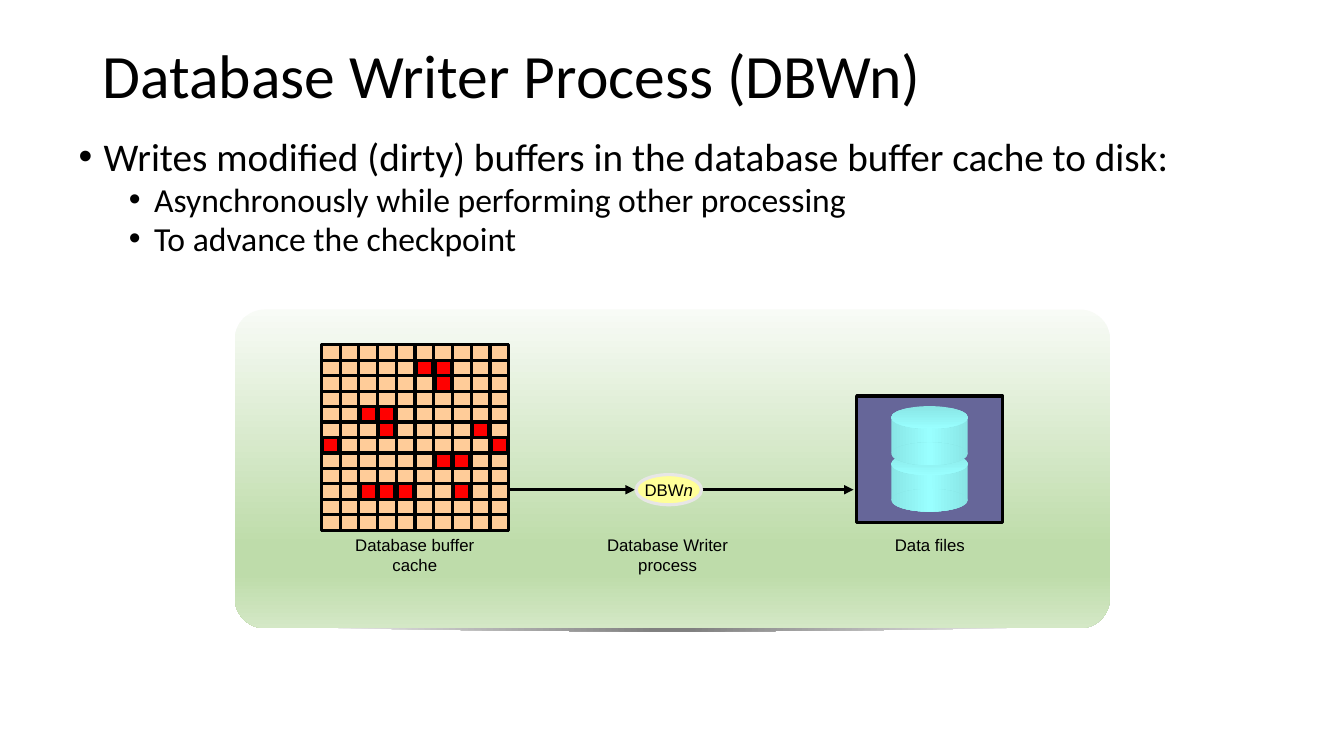
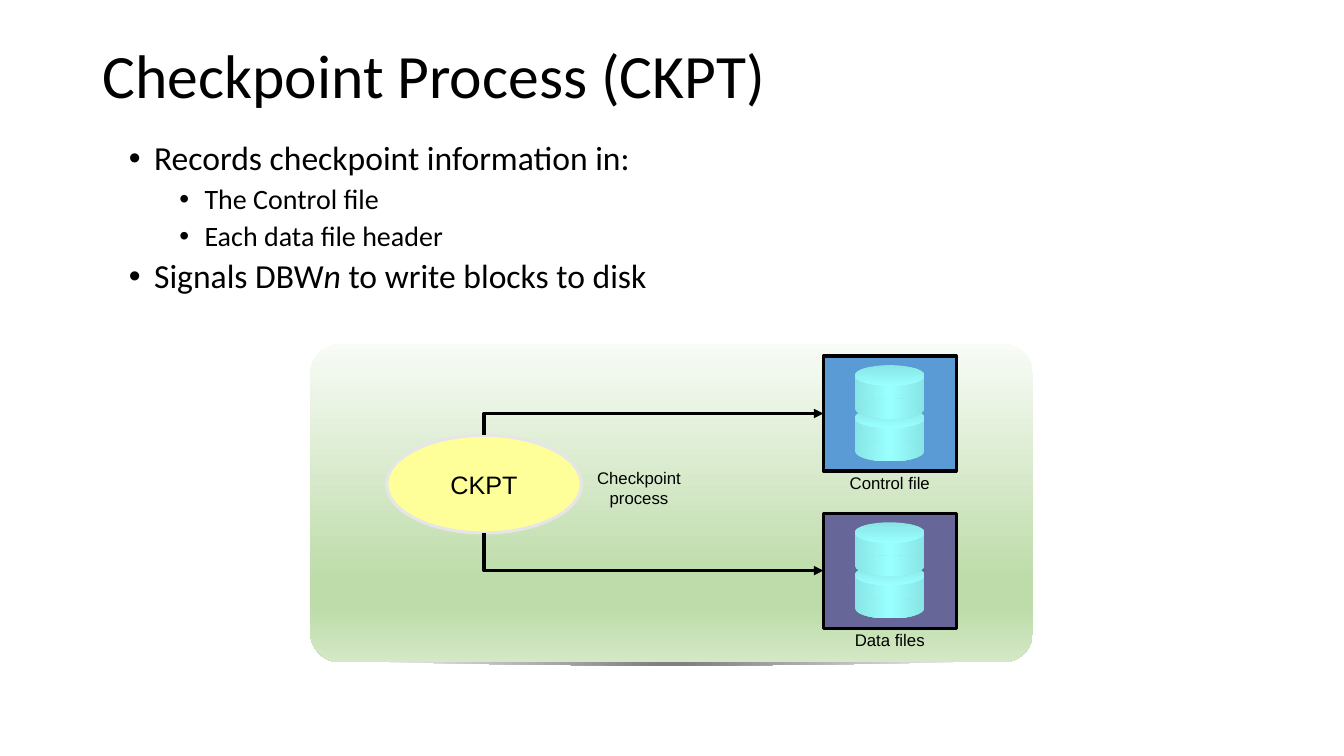
"""Build two slides on the database writer and checkpoint processes."""
from lxml.etree import SubElement
from pptx import Presentation
from pptx.dml.color import RGBColor
from pptx.enum.shapes import MSO_CONNECTOR as CONN, MSO_SHAPE as SHAPE
from pptx.enum.text import MSO_ANCHOR as ANCHOR, PP_ALIGN as ALIGN
from pptx.oxml.ns import qn
from pptx.util import Cm, Pt

COLORS = {
    "text": "000000", "line": "000000", "process": "FFFF99", "rim": "E7E6E6",
    "buffer": "FFCC99", "dirty": "FF0000", "data": "666699", "control": "5B9BD5",
}
PANEL_STOPS = [(0, "F8FBF6"), (74, "BEDCAA"), (83, "BEDCAA"), (100, "D4E8C6")]
SHADOW_STOPS = [(4, "808080"), (100, "FFFFFF")]
SIDE_STOPS = [(0, "89E5E5"), (50, "99FFFF"), (100, "89E5E5")]
LID_STOPS = [(0, "89E5E5"), (100, "99FFFF")]
DIRTY_CELLS = [
    (5, 1), (6, 1), (6, 2), (2, 4), (3, 4), (3, 5), (8, 5), (0, 6),
    (9, 6), (6, 7), (7, 7), (2, 9), (3, 9), (4, 9), (7, 9),
]
ELLIPSE_TOP, ELLIPSE_BOTTOM = 0, 4


def rgb(name):
    return RGBColor.from_string(COLORS[name])


def add_runs(p, runs, size, font):
    for text, italic in runs:
        r = p.add_run()
        r.text = text
        r.font.size = Pt(size)
        r.font.name = font
        r.font.italic = italic
        r.font.color.rgb = rgb("text")


def plain(text):
    return [(text, None)]


def set_gradient(sp, stops, angle=None):
    sp.shadow.inherit = False
    sp.line.fill.background()
    sp.fill.background()
    no_fill = sp._element.spPr.find(qn("a:noFill"))
    grad = SubElement(sp._element.spPr, qn("a:gradFill"), rotWithShape="1")
    no_fill.getparent().replace(no_fill, grad)
    gs_list = SubElement(grad, qn("a:gsLst"))
    for pos, color in stops:
        gs = SubElement(gs_list, qn("a:gs"), pos=str(pos * 1000))
        SubElement(gs, qn("a:srgbClr"), val=color)
    if angle is None:
        path = SubElement(grad, qn("a:path"), path="circle")
        SubElement(path, qn("a:fillToRect"), l="50000", t="50000", r="50000", b="50000")
    else:
        SubElement(grad, qn("a:lin"), ang=str(angle * 60000), scaled="0")


def add_box(s, kind, x, y, w, h):
    return s.shapes.add_shape(kind, Cm(x), Cm(y), Cm(w), Cm(h))


def add_solid(s, kind, x, y, w, h, fill, line="line"):
    sp = add_box(s, kind, x, y, w, h)
    sp.shadow.inherit = False
    sp.fill.solid()
    sp.fill.fore_color.rgb = rgb(fill)
    sp.line.color.rgb = rgb(line)
    sp.line.width = Pt(2.25)
    return sp


def add_textbox(s, x, y, w, h):
    tf = s.shapes.add_textbox(Cm(x), Cm(y), Cm(w), Cm(h)).text_frame
    tf.word_wrap = True
    return tf


def add_title(s, text):
    p = add_textbox(s, 2.34, 1.02, 29.21, 3.68).paragraphs[0]
    p.line_spacing = 0.9
    add_runs(p, plain(text), 44, "Calibri")


def add_bullets(s, height, spacing, items):
    tf = add_textbox(s, 1.73, 3.45, 30.4, height)
    for i, (level, runs) in enumerate(items):
        p = tf.paragraphs[0] if i == 0 else tf.add_paragraph()
        p.level = level
        p.line_spacing = spacing
        p.space_before = Pt(5 if level else 10)
        pPr = p._p.get_or_add_pPr()
        pPr.set("marL", str(Cm(0.635 + 1.27 * level)))
        pPr.set("indent", str(-Cm(0.635)))
        SubElement(pPr, qn("a:buFont"), typeface="Arial")
        SubElement(pPr, qn("a:buChar"), char="•")
        add_runs(p, runs, 28 - 4 * level, "Calibri")


def add_label(s, x, y, w, h, text):
    p = add_textbox(s, x, y, w, h).paragraphs[0]
    p.alignment = ALIGN.CENTER
    add_runs(p, plain(text), 12, "Arial")


def add_panel(s, x, y, w, h):
    left, top, width, steps = x + 0.0235 * w, y + h - 0.05, 0.953 * w, 24
    arc = [(left + width * i / steps, top + 0.52 * i / steps * (1 - i / steps))
           for i in range(steps + 1)]
    points = [(Cm(px), Cm(py)) for px, py in arc]
    builder = s.shapes.build_freeform(*points[0])
    builder.add_line_segments(points[1:], close=True)
    set_gradient(builder.convert_to_shape(), SHADOW_STOPS)
    sp = add_box(s, SHAPE.ROUNDED_RECTANGLE, x, y, w, h)
    sp.adjustments[0] = 0.094
    set_gradient(sp, PANEL_STOPS, 90)


def add_process(s, x, y, w, h, runs, size):
    sp = add_solid(s, SHAPE.OVAL, x, y, w, h, "process", "rim")
    tf = sp.text_frame
    tf.word_wrap = False
    tf.vertical_anchor = ANCHOR.MIDDLE
    tf.paragraphs[0].alignment = ALIGN.CENTER
    add_runs(tf.paragraphs[0], runs, size, "Arial")
    return sp


def add_storage(s, x, y, w, h, fill):
    frame = add_solid(s, SHAPE.RECTANGLE, x, y, w, h, fill)
    left, width = x + 0.237 * w, 0.524 * w
    for disk_top in (0.448, 0.08):
        for kind, offset, height, stops, angle in (
            (SHAPE.RECTANGLE, 0.094, 0.28, SIDE_STOPS, 0),
            (SHAPE.OVAL, 0, 0.18, LID_STOPS, 90),
            (SHAPE.OVAL, 0.288, 0.18, SIDE_STOPS, 0),
        ):
            sp = add_box(s, kind, left, y + (disk_top + offset) * h, width, height * h)
            set_gradient(sp, stops, angle)
    return frame


def add_line(s, x1, y1, x2, y2, arrow=None, kind=CONN.STRAIGHT):
    c = s.shapes.add_connector(kind, Cm(x1), Cm(y1), Cm(x2), Cm(y2))
    c.line.color.rgb = rgb("line")
    c.line.width = Pt(2.25)
    spPr = c._element.spPr
    if arrow:
        SubElement(spPr.find(qn("a:ln")), qn(arrow), type="triangle")
    SubElement(spPr, qn("a:effectLst"))
    return c


def add_elbow(s, process, site, storage):
    x = (process.left + process.width / 2) / Cm(1)
    y = (process.top + (process.height if site == ELLIPSE_BOTTOM else 0)) / Cm(1)
    c = add_line(s, x + 1, y, x, y, "a:headEnd", CONN.ELBOW)
    c.begin_connect(storage, 1)
    c._element.spPr.find(qn("a:prstGeom")).set("prst", "bentConnector2")
    cxn = c._element.find(".//" + qn("p:cNvCxnSpPr"))
    SubElement(cxn, qn("a:endCxn"), id=str(process.shape_id), idx=str(site))


def add_buffer_cache(s, x, y, w, h, cols, rows):
    add_solid(s, SHAPE.RECTANGLE, x, y, w, h, "buffer")
    dx, dy = w / cols, h / rows
    for col in range(cols + 1):
        add_line(s, x + col * dx, y, x + col * dx, y + h)
    for row in range(rows + 1):
        add_line(s, x, y + row * dy, x + w, y + row * dy)
    for col, row in DIRTY_CELLS:
        add_solid(s, SHAPE.RECTANGLE, x + col * dx + 0.03, y + row * dy,
                  dx - 0.06, dy, "dirty")


def writer_slide(s):
    add_panel(s, 5.92, 7.8, 22.05, 8.03)
    add_title(s, "Database Writer Process (DBWn)")
    add_bullets(s, 3.43, 0.8, [
        (0, plain("Writes modified (dirty) buffers in the database buffer cache to disk:")),
        (1, plain("Asynchronously while performing other processing")),
        (1, plain("To advance the checkpoint")),
    ])
    add_storage(s, 21.59, 9.98, 3.68, 3.18, "data")
    for x1, x2 in ((12.83, 16), (17.7, 21.51)):
        add_line(s, x1, 12.34, x2, 12.34, "a:tailEnd")
    for x, h, text in ((8.13, 1.27, "Database buffer cache"),
                       (14.5, 1.27, "Database Writer process"),
                       (21.11, 0.76, "Data files")):
        add_label(s, x, 13.34, 4.65, h, text)
    add_process(s, 16.03, 11.96, 1.65, 0.76, [("DBW", None), ("n", True)], 12)
    add_buffer_cache(s, 8.1, 8.69, 4.72, 4.67, 10, 12)


def checkpoint_slide(s):
    add_panel(s, 7.82, 8.66, 18.21, 8.03)
    add_title(s, "Checkpoint Process (CKPT)")
    add_bullets(s, 4.27, 0.9, [
        (1, plain("Records checkpoint information in:")),
        (2, plain("The Control file")),
        (2, plain("Each data file header")),
        (1, [("Signals DBW", None), ("n", True), (" to write blocks to disk", None)]),
    ])
    add_label(s, 14.76, 11.66, 2.69, 1.14, "Checkpoint process")
    ckpt = add_process(s, 9.75, 10.97, 4.9, 2.46, plain("CKPT"), 18)
    for y, fill, text, site in ((8.97, "control", "Control file", ELLIPSE_TOP),
                                (12.93, "data", "Data files", ELLIPSE_BOTTOM)):
        add_label(s, 21.08, y + 2.81, 2.69, 0.69, text)
        storage = add_storage(s, 20.75, y, 3.35, 2.9, fill)
        add_elbow(s, ckpt, site, storage)


def main():
    prs = Presentation()
    prs.slide_width, prs.slide_height = Cm(33.87), Cm(19.05)
    for build in (writer_slide, checkpoint_slide):
        build(prs.slides.add_slide(prs.slide_layouts[6]))
    prs.save("out.pptx")


if __name__ == "__main__":
    main()
